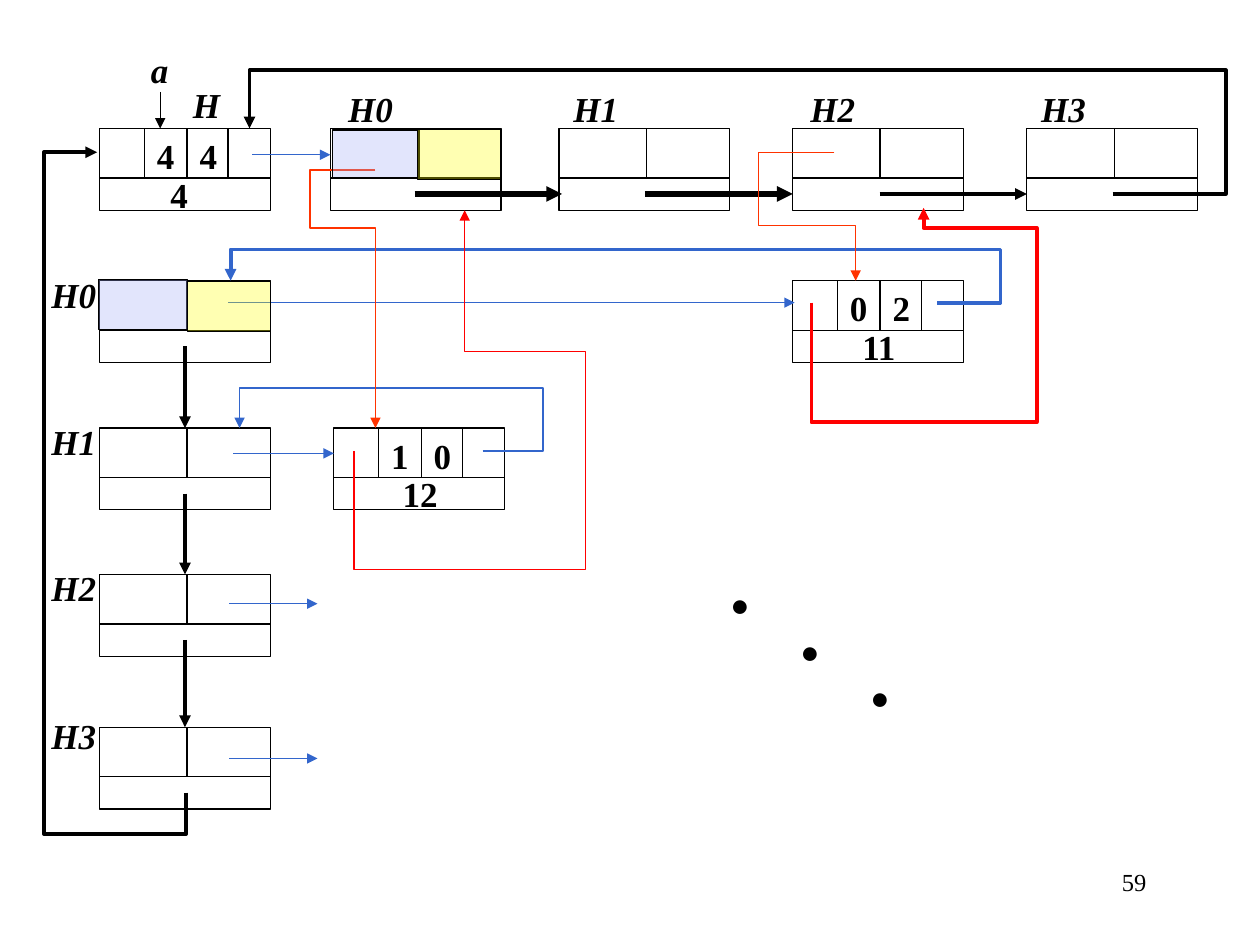
from itertools import pairwise

from lxml.etree import SubElement as Sub
from pptx import Presentation
from pptx.dml.color import RGBColor as RGB
from pptx.enum.shapes import MSO_CONNECTOR as Link, MSO_SHAPE as Shape
from pptx.enum.text import PP_ALIGN as Align
from pptx.oxml.ns import qn
from pptx.util import Cm, Pt

BLACK = RGB(0x00, 0x00, 0x00)
BLUE = RGB(0x33, 0x66, 0xCC)
RED = RGB(0xFF, 0x00, 0x00)
ORANGE = RGB(0xFF, 0x33, 0x00)
YELLOW = RGB(0xFF, 0xFF, 0x00)
LILAC = RGB(0xA1, 0xAB, 0xF7)

FONT = "Times New Roman"
THIN, THICK, HEAVY = 0.75, 2.25, 3
WIDE, HIGH, SPLIT, MID = 3.44, 1.65, 1, 1.76
LEFT, TOP = 2.01, 2.59
COLS = [6.66, 11.27, 15.98, 20.7]
ROWS = [5.66, 8.63, 11.58, 14.66]


class Board:
    """Draws linked-list nodes, arrows and labels on one slide."""

    def __init__(self, slide):
        self.shapes = slide.shapes

    def stroke(self, item, color, width, arrow=False):
        item.line.color.rgb = color
        item.line.width = Pt(width)
        if arrow:
            ln = item._element.spPr.find(qn("a:ln"))
            Sub(ln, qn("a:tailEnd"), type="triangle")

    def box(self, x, y, w, h, fill=None):
        rect = self.shapes.add_shape(Shape.RECTANGLE, Cm(x), Cm(y), Cm(w), Cm(h))
        rect.shadow.inherit = False
        if fill is None:
            rect.fill.background()
        else:
            rect.fill.solid()
            rect.fill.fore_color.rgb = fill
            tint = rect._element.spPr.find(qn("a:solidFill"))[0]
            Sub(tint, qn("a:alpha"), val="30000")
        self.stroke(rect, BLACK, THIN)
        return rect

    def line(self, x1, y1, x2, y2, color=BLACK, width=THIN, arrow=False):
        link = self.shapes.add_connector(
            Link.STRAIGHT, Cm(x1), Cm(y1), Cm(x2), Cm(y2))
        self.stroke(link, color, width, arrow)
        Sub(link._element.spPr, qn("a:effectLst"))
        return link

    def route(self, points, color, width):
        spots = [(Cm(x), Cm(y)) for x, y in points]
        form = self.shapes.build_freeform(*spots[0])
        form.add_line_segments(spots[1:], close=False)
        bend = form.convert_to_shape()
        bend.shadow.inherit = False
        bend.fill.background()
        self.stroke(bend, color, width, arrow=True)

    def text(self, words, x, y, w=1.42, h=1.1, size=20, bold=True, slant=False,
             align=Align.CENTER, wrap=False, turn=0, gap=0):
        area = self.shapes.add_textbox(Cm(x), Cm(y), Cm(w), Cm(h))
        area.rotation = turn
        area.text_frame.word_wrap = wrap
        para = area.text_frame.paragraphs[0]
        para.alignment = align
        run = para.add_run()
        run.text = words
        font = run.font
        font.name, font.size, font.bold, font.italic = FONT, Pt(size), bold, slant
        font.color.rgb = BLACK
        if gap:
            run._r.get_or_add_rPr().set("spc", str(gap * 100))

    def node(self, x, y, cuts=(MID,)):
        rect = self.box(x, y, WIDE, HIGH)
        self.line(x, y + SPLIT, x + WIDE, y + SPLIT)
        for cut in cuts:
            self.line(x + cut, y, x + cut, y + SPLIT)
        return rect

    def entry(self, x, y, row, col, value, inset=1.13):
        self.node(x, y, cuts=(0.9, MID, 2.59))
        self.text(row, x + 0.9, y, w=0.86)
        self.text(col, x + MID, y, w=0.86)
        self.text(value, x + inset, y + 0.78, w=1.22)


def main():
    deck = Presentation()
    deck.slide_width, deck.slide_height = Cm(25.4), Cm(19.05)
    board = Board(deck.slides.add_slide(deck.slide_layouts[6]))

    board.entry(LEFT, TOP, "4", "4", "4", inset=0.99)
    board.entry(6.73, ROWS[1], "1", "0", "12")
    board.entry(COLS[2], ROWS[0], "0", "2", "11")
    for i, (x, shift) in enumerate(zip(COLS, (0.1, 0.03, 0.1, 0.03))):
        board.node(x, TOP)
        board.text(f"H{i}", x + shift, 1.63, slant=True)
    heads = []
    for i, (y, lift) in enumerate(zip(ROWS, (0.28, 0.28, 0.28, 0.38))):
        heads.append(board.node(LEFT, y))
        board.text(f"H{i}", 0.78, y - lift, slant=True)
    board.text("a", 2.79, 0.86, w=0.86, slant=True)
    board.text("H", 3.63, 1.55, w=1.07, slant=True)

    mid = LEFT + WIDE / 2
    for (y, end), (_, head) in zip(pairwise(ROWS), pairwise(heads)):
        down = board.line(mid, y + 1.32, mid, end, width=THICK, arrow=True)
        down.end_connect(head, 0)
    board.line(3.23, 1.85, 3.23, TOP, arrow=True)
    for start, end, width in [(8.36, 11.33, HEAVY), (13, 15.98, HEAVY),
                              (17.73, 20.7, THICK)]:
        board.line(start, 3.91, end, 3.91, width=width, arrow=True)
    for start, end, y in [(5.08, 6.66, 3.12), (4.6, 16.02, 6.1), (4.7, 6.73, 9.14),
                          (4.62, 6.4, 12.17), (4.62, 6.4, 15.29)]:
        board.line(start, y, end, y, color=BLUE, arrow=True)

    routes = [
        (BLACK, THICK, [(22.43, 3.91), (24.71, 3.91), (24.71, 1.42),
                        (5.03, 1.42), (5.03, TOP)]),
        (BLACK, THICK, [(3.75, 15.98), (3.75, 16.81), (0.89, 16.81),
                        (0.89, 3.07), (1.96, 3.07)]),
        (BLUE, THIN, [(9.73, 9.09), (10.95, 9.09), (10.95, 7.82),
                      (4.83, 7.82), (4.83, ROWS[1])]),
        (BLUE, THICK, [(18.9, 6.1), (20.17, 6.1), (20.17, 5.03),
                       (4.65, 5.03), (4.65, ROWS[0])]),
        (RED, THIN, [(7.14, 9.09), (7.14, 11.48), (11.81, 11.48),
                     (11.81, 7.09), (9.37, 7.09), (9.37, 4.24)]),
        (RED, THICK, [(16.36, 6.1), (16.36, 8.51), (20.9, 8.51),
                      (20.9, 4.6), (18.62, 4.6), (18.62, 4.19)]),
        (ORANGE, THIN, [(7.57, 3.43), (6.25, 3.43), (6.25, 4.6),
                        (7.57, 4.6), (7.57, ROWS[1])]),
        (ORANGE, THIN, [(16.82, 3.07), (15.29, 3.07), (15.29, 4.55),
                        (17.25, 4.55), (17.25, ROWS[0])]),
    ]
    for color, width, points in routes:
        board.route(points, color, width)

    board.box(3.78, 5.67, 1.68, 1.01, fill=YELLOW)
    board.box(1.99, 5.64, 1.79, 1.01, fill=LILAC)
    board.box(6.7, 2.62, 1.75, 0.97, fill=LILAC)
    board.box(8.42, 2.61, 1.68, 1.01, fill=YELLOW)

    board.text(". . .", 14.43, 11.58, w=4.42, h=2.29, size=48, wrap=True,
               turn=33.5, gap=12)
    board.text("59", 18.08, 17.35, w=5.28, h=1.27, size=14, bold=False,
               align=Align.RIGHT, wrap=True)
    deck.save("out.pptx")


if __name__ == "__main__":
    main()
